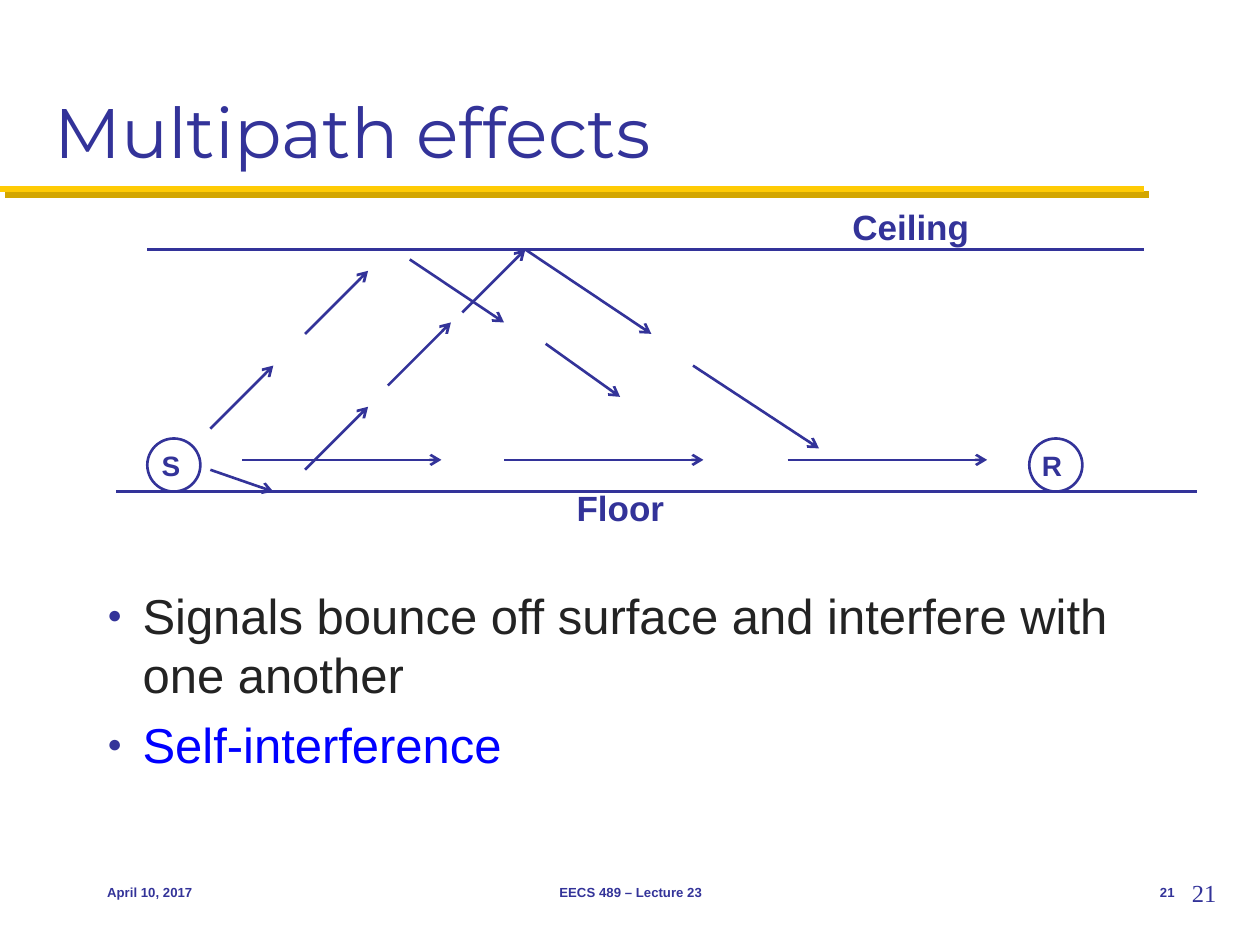
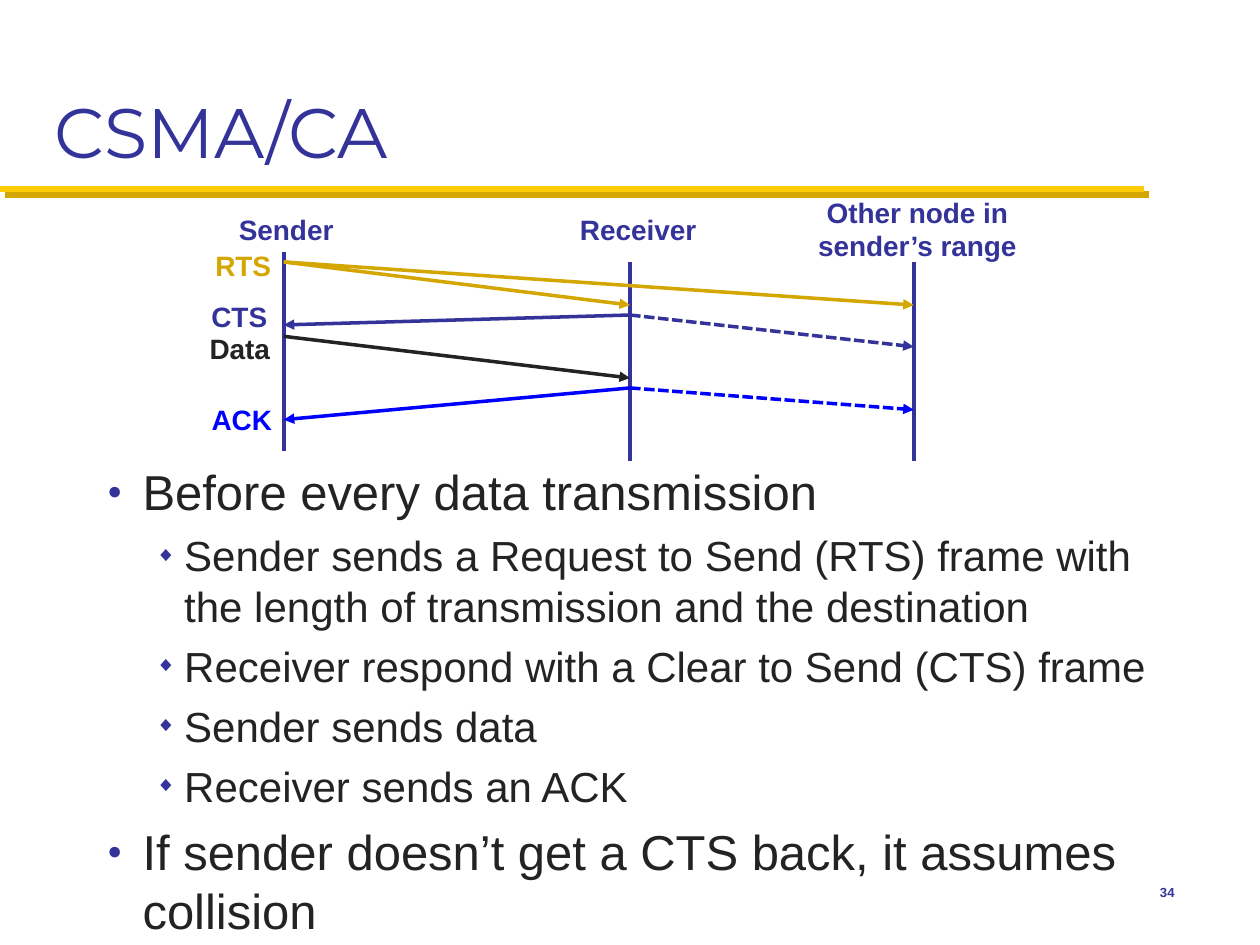
"""Builds two lecture slides on wireless links: multipath effects and CSMA/CA."""
from lxml import etree
from pptx import Presentation
from pptx.dml.color import RGBColor
from pptx.enum.dml import MSO_LINE
from pptx.enum.shapes import MSO_CONNECTOR, MSO_SHAPE
from pptx.enum.text import MSO_ANCHOR, MSO_AUTO_SIZE, PP_ALIGN
from pptx.oxml.ns import qn
from pptx.util import Cm, Pt

STRAIGHT = MSO_CONNECTOR.STRAIGHT
OVAL = MSO_SHAPE.OVAL
DASHED = MSO_LINE.SQUARE_DOT
LEFT, CENTER, RIGHT = PP_ALIGN.LEFT, PP_ALIGN.CENTER, PP_ALIGN.RIGHT
TOP, MIDDLE, BOTTOM = MSO_ANCHOR.TOP, MSO_ANCHOR.MIDDLE, MSO_ANCHOR.BOTTOM

COLORS = {"navy": "333399", "ink": "232323", "blue": "0000FF",
          "gold": "FFCB05", "dark_gold": "D3A600"}
BODY_FONT, TITLE_FONT, NUMBER_FONT = "Arial", "Montserrat", "Times New Roman"

TITLE_BOX = (0.84, 0.43, 23.7, 3.18)
RULE_Y, RULE_END, RULE_SHADOW = 3.81, 23.06, 0.11
FOOTER_TOP, FOOTER_HEIGHT = 17.35, 1.27
DATE_SPAN, COURSE_SPAN, NUMBER_SPAN = (1.91, 5.28), (8.69, 8.05), (22.23, 1.7)
LEVELS = [
    {"bullet": "●", "size": 28, "margin": 0.71, "indent": -0.71, "before": 6.5},
    {"bullet": "◆", "size": 24, "margin": 1.55, "indent": -0.58, "before": 5.5},
]

MULTIPATH_POINTS = [
    (0, "Signals bounce off surface and interfere with one another", "ink"),
    (0, "Self-interference", "blue"),
]
CEILING = (2.97, 5.03, 23.06, 5.03)
FLOOR = (2.34, 9.91, 24.13, 9.91)
SURFACE_LABELS = [("Ceiling", (16.89, 4.01, 2.9, 1.12)),
                  ("Floor", (11.35, 9.68, 2.29, 1.12))]
STATIONS = [("S", 2.97), ("R", 20.75)]
STATION_SIZE = 1.07
DIRECT_RAY_STARTS, DIRECT_RAY_Y, DIRECT_RAY_LENGTH = [4.88, 10.16, 15.88], 9.27, 4.02
RISING_RAY_STARTS = [(4.24, 8.64), (6.15, 6.73), (6.15, 9.47), (7.82, 7.77), (9.32, 6.3)]
RISING_RAY_STEP = 1.27
FALLING_RAYS = [
    (4.24, 9.47, 5.51, 9.91), (8.26, 5.23, 10.16, 6.5), (11, 6.93, 12.5, 8),
    (10.59, 5.03, 13.13, 6.73), (13.97, 7.37, 16.51, 9.04),
]

CSMA_POINTS = [
    (0, "Before every data transmission", "ink"),
    (1, "Sender sends a Request to Send (RTS) frame with the length of "
        "transmission and the destination", "ink"),
    (1, "Receiver respond with a Clear to Send (CTS) frame", "ink"),
    (1, "Sender sends data", "ink"),
    (1, "Receiver sends an ACK", "ink"),
    (0, "If sender doesn’t get a CTS back, it assumes collision", "ink"),
]
LIFELINES = {"sender": (5.72, 5.08), "receiver": (12.7, 5.28), "other": (18.42, 5.28)}
LIFELINE_LENGTH = 4.02
NODE_LABELS = [
    ("Sender", (4.55, 4.17, 2.44, 0.94)),
    ("Receiver", (11.43, 4.17, 2.87, 0.94)),
    ("Other node in\nsender’s range", (16.21, 3.81, 4.57, 1.63)),
]
FRAMES = [
    ("RTS", "dark_gold", (4.09, 4.88, 1.63, 0.93),
     [("sender", 5.28, "other", 6.15, None), ("sender", 5.28, "receiver", 6.15, None)]),
    ("CTS", "navy", (4.01, 5.92, 1.63, 0.93),
     [("receiver", 6.35, "sender", 6.55, None), ("receiver", 6.35, "other", 6.99, DASHED)]),
    ("Data", "ink", (3.96, 6.55, 1.75, 0.93),
     [("sender", 6.78, "receiver", 7.62, None)]),
    ("ACK", "blue", (4.01, 8, 1.73, 0.93),
     [("receiver", 7.82, "sender", 8.46, None), ("receiver", 7.82, "other", 8.26, DASHED)]),
]


def color_of(name):
    return RGBColor.from_string(COLORS[name])


def style_font(paragraph, size, color="navy", name=BODY_FONT, bold=False):
    font = paragraph.font
    font.name, font.size, font.bold = name, Pt(size), bold
    font.color.rgb = color_of(color)


def place(shape, box):
    shape.left, shape.top, shape.width, shape.height = map(Cm, box)


def add_line(slide, points, color="navy", width=1.5, head=None, dash=None):
    connector = slide.shapes.add_connector(STRAIGHT, *map(Cm, points))
    connector.line.color.rgb = color_of(color)
    connector.line.width = Pt(width)
    if dash:
        connector.line.dash_style = dash
    if head:
        etree.SubElement(connector.line._get_or_add_ln(), qn("a:tailEnd"), type=head)
    etree.SubElement(connector._element.spPr, qn("a:effectLst"))


def set_text(shape, text, size, align, anchor=TOP, wrap=False, **font):
    frame = shape.text_frame
    frame.word_wrap = wrap
    frame.vertical_anchor = anchor
    frame.text = text
    for paragraph in frame.paragraphs:
        paragraph.alignment = align
        style_font(paragraph, size, **font)


def add_label(slide, text, box, size, align, **options):
    set_text(slide.shapes.add_textbox(*map(Cm, box)), text, size, align, **options)


def add_footer(slide, text, span, align):
    left, width = span
    add_label(slide, text, (left, FOOTER_TOP, width, FOOTER_HEIGHT), 7.5, align,
              anchor=MIDDLE, wrap=True, bold=True)


def add_bullet(paragraph, character):
    properties = paragraph._p.get_or_add_pPr()
    bullet_color = etree.SubElement(properties, qn("a:buClr"))
    etree.SubElement(bullet_color, qn("a:srgbClr"), val=COLORS["navy"])
    etree.SubElement(properties, qn("a:buSzPct"), val="50000")
    etree.SubElement(properties, qn("a:buFont"), typeface=BODY_FONT)
    etree.SubElement(properties, qn("a:buChar"), char=character)


def fill_body(body, points, box):
    place(body, box)
    frame = body.text_frame
    frame.auto_size = MSO_AUTO_SIZE.NONE
    frame.text = "\n".join(text for _, text, _ in points)
    for index, (paragraph, (level, _, color)) in enumerate(zip(frame.paragraphs, points)):
        style = LEVELS[level]
        paragraph.level = level
        paragraph.space_before = Pt(style["before"] if index else 0)
        properties = paragraph._p.get_or_add_pPr()
        properties.set("marL", str(Cm(style["margin"])))
        properties.set("indent", str(Cm(style["indent"])))
        add_bullet(paragraph, style["bullet"])
        style_font(paragraph, style["size"], color)


def start_slide(presentation, title, number, points, body_box):
    slide = presentation.slides.add_slide(presentation.slide_layouts[1])
    for offset, color in ((RULE_SHADOW, "dark_gold"), (0, "gold")):
        add_line(slide, (offset, RULE_Y + offset, RULE_END + offset, RULE_Y + offset),
                 color, 3.5)
    heading = slide.shapes.title
    place(heading, TITLE_BOX)
    set_text(heading, title, 40, LEFT, anchor=BOTTOM, wrap=True, name=TITLE_FONT)
    heading.text_frame.auto_size = MSO_AUTO_SIZE.NONE
    fill_body(slide.placeholders[1], points, body_box)
    add_footer(slide, number, NUMBER_SPAN, RIGHT)
    return slide


def build_multipath(presentation):
    slide = start_slide(presentation, "Multipath effects", "21",
                        MULTIPATH_POINTS, (1.91, 11.68, 22.02, 5.13))
    add_footer(slide, "April 10, 2017", DATE_SPAN, LEFT)
    add_footer(slide, "EECS 489 – Lecture 23", COURSE_SPAN, CENTER)
    add_label(slide, "21", (22.23, 17.58, 2.54, 1.07), 14, RIGHT,
              wrap=True, name=NUMBER_FONT)

    floor_y = FLOOR[1]
    for name, left in STATIONS:
        station = slide.shapes.add_shape(OVAL, Cm(left), Cm(floor_y - STATION_SIZE),
                                         Cm(STATION_SIZE), Cm(STATION_SIZE))
        station.shadow.inherit = False
        station.fill.background()
        station.line.color.rgb = color_of("navy")
        station.line.width = Pt(1.5)
        set_text(station, name, 16, RIGHT, anchor=MIDDLE, bold=True)

    for surface in (CEILING, FLOOR):
        add_line(slide, surface)
    direct_rays = [(x, DIRECT_RAY_Y, x + DIRECT_RAY_LENGTH, DIRECT_RAY_Y)
                   for x in DIRECT_RAY_STARTS]
    rising_rays = [(x, y, x + RISING_RAY_STEP, y - RISING_RAY_STEP)
                   for x, y in RISING_RAY_STARTS]
    for ray in direct_rays + rising_rays + FALLING_RAYS:
        add_line(slide, ray, head="arrow")
    for text, box in SURFACE_LABELS:
        add_label(slide, text, box, 20, RIGHT, bold=True)


def build_csma(presentation):
    slide = start_slide(presentation, "CSMA/CA", "34",
                        CSMA_POINTS, (1.91, 9.17, 22.02, 7.67))
    for x, top in LIFELINES.values():
        add_line(slide, (x, top, x, top + LIFELINE_LENGTH), width=2)
    for text, box in NODE_LABELS:
        add_label(slide, text, box, 16, CENTER, bold=True)
    for text, color, box, arrows in FRAMES:
        add_label(slide, text, box, 16, CENTER, color=color, bold=True)
        for source, start_y, target, end_y, dash in arrows:
            add_line(slide, (LIFELINES[source][0], start_y, LIFELINES[target][0], end_y),
                     color, 2, "triangle", dash)


def main():
    presentation = Presentation()
    presentation.slide_width, presentation.slide_height = Cm(25.4), Cm(19.05)
    build_multipath(presentation)
    build_csma(presentation)
    presentation.save("out.pptx")


if __name__ == "__main__":
    main()
